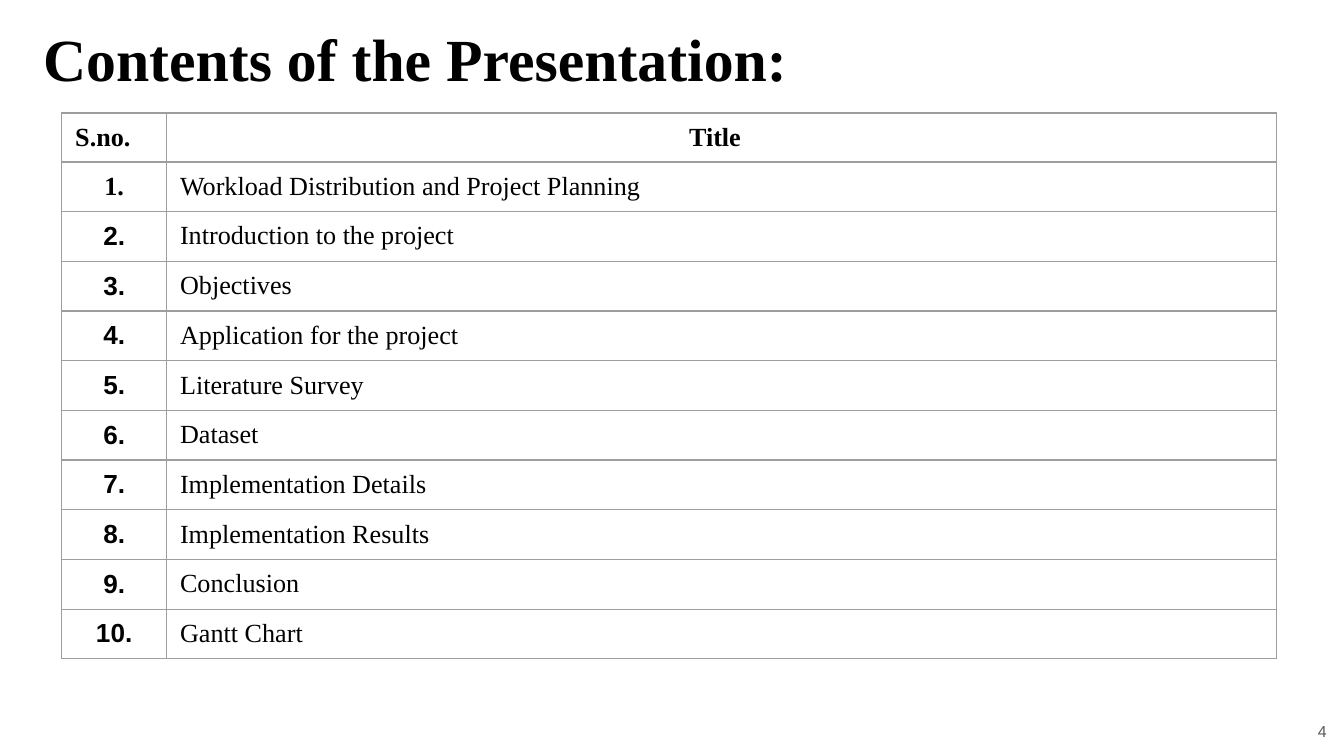
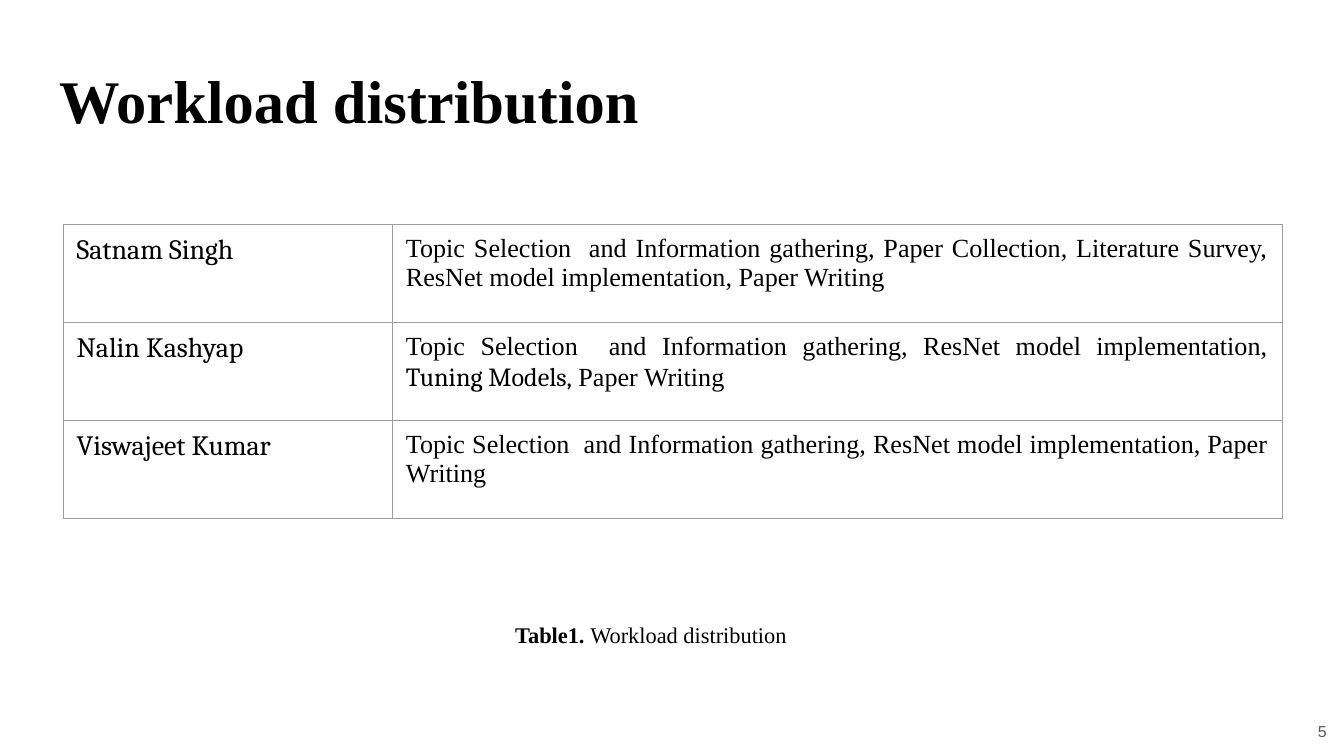
from dataclasses import dataclass

from lxml import etree
from pptx import Presentation
from pptx.dml.color import RGBColor
from pptx.enum.text import MSO_ANCHOR, MSO_AUTO_SIZE, PP_ALIGN
from pptx.oxml.ns import qn
from pptx.util import Inches, Pt

LEFT, CENTER, RIGHT, JUSTIFY = (
    PP_ALIGN.LEFT, PP_ALIGN.CENTER, PP_ALIGN.RIGHT, PP_ALIGN.JUSTIFY)
TOP, MIDDLE = MSO_ANCHOR.TOP, MSO_ANCHOR.MIDDLE
TITLE_ONLY = 5


# Theme
@dataclass(frozen=True)
class Style:
    font: str
    size: float
    bold: bool = False
    color: str = "000000"


@dataclass(frozen=True)
class Theme:
    paper: str = "FFFFFF"
    border: str = "9E9E9E"
    border_width: float = 0.75
    title: Style = Style("Times New Roman", 32, True)
    wide_title: Style = Style("Times New Roman", 32.4, True)
    head: Style = Style("Times New Roman", 14, True)
    body: Style = Style("Times New Roman", 14)
    index: Style = Style("Arial", 14, True)
    member: Style = Style("Cambria", 15)
    remark: Style = Style("Cambria", 14)
    gap: Style = Style("Cambria", 15, True)
    label: Style = Style("Times New Roman", 12, True)
    caption: Style = Style("Times New Roman", 12)
    number: Style = Style("Arial", 8.5, color="595959")


THEME = Theme()

# Content
CONTENTS_TITLE = "Contents of the Presentation:"
CONTENTS_HEAD = ("S.no.", "Title")
TOPICS = [
    "Workload Distribution and Project Planning",
    "Introduction to the project",
    "Objectives",
    "Application for the project",
    "Literature Survey",
    "Dataset",
    "Implementation Details",
    "Implementation Results",
    "Conclusion",
    "Gantt Chart",
]

WORKLOAD_TITLE = "Workload distribution"
WORKLOAD = [
    ("Satnam Singh", [
        ("Topic Selection  and Information gathering, Paper Collection, "
         "Literature Survey, ResNet model implementation, Paper Writing", THEME.body),
    ]),
    ("Nalin Kashyap", [
        ("Topic Selection  and Information gathering, "
         "ResNet model implementation, ", THEME.body),
        ("Tuning Models,", THEME.remark),
        (" ", THEME.gap),
        ("Paper Writing", THEME.body),
    ]),
    ("Viswajeet Kumar", [
        ("Topic Selection  and Information gathering, "
         "ResNet model implementation, Paper Writing", THEME.body),
    ]),
]
CAPTION = [("Table1. ", THEME.label), ("Workload distribution", THEME.caption)]


# Text helpers
def write(frame, spans, align=LEFT):
    para = frame.paragraphs[0]
    para.alignment = align
    for text, style in spans:
        span = para.add_run()
        span.text = text
        span.font.name = style.font
        span.font.size = Pt(style.size)
        span.font.bold = style.bold
        span.font.color.rgb = RGBColor.from_string(style.color)
    return para


def set_up_frame(frame, inset, anchor):
    frame.word_wrap = True
    frame.auto_size = MSO_AUTO_SIZE.NONE
    frame.vertical_anchor = anchor
    frame.margin_left = frame.margin_right = Inches(inset)
    frame.margin_top = frame.margin_bottom = Inches(inset)


def add_text(page, area, spans, align, anchor=TOP):
    box = page.shapes.add_textbox(*map(Inches, area))
    set_up_frame(box.text_frame, 0.1, anchor)
    return write(box.text_frame, spans, align)


# Table helpers
def add_borders(cell):
    properties = cell._tc.get_or_add_tcPr()
    for side in ("lnL", "lnR", "lnT", "lnB"):
        line = etree.SubElement(properties, qn(f"a:{side}"),
                                w=str(Pt(THEME.border_width)))
        fill = etree.SubElement(line, qn("a:solidFill"))
        etree.SubElement(fill, qn("a:srgbClr"), val=THEME.border)


def add_grid(page, left, top, widths, heights, rows):
    """Each row is a list of cells, each cell a pair of spans and alignment."""
    area = map(Inches, (left, top, sum(widths), sum(heights)))
    table = page.shapes.add_table(len(rows), len(widths), *area).table
    table.first_row = table.horz_banding = False
    for column, width in zip(table.columns, widths):
        column.width = Inches(width)
    for line, height, cells in zip(table.rows, heights, rows):
        line.height = Inches(height)
        for cell, (spans, align) in zip(line.cells, cells):
            cell.margin_left = cell.margin_right = Inches(0.1)
            cell.margin_top = cell.margin_bottom = Inches(0.15) // 2
            add_borders(cell)
            cell.fill.background()
            write(cell.text_frame, spans, align)
    return table


# Shared page: background, title and page number
def add_page(deck, number, title, style, area, inset, anchor):
    page = deck.slides.add_slide(deck.slide_layouts[TITLE_ONLY])
    page.background.fill.solid()
    page.background.fill.fore_color.rgb = RGBColor.from_string(THEME.paper)
    heading = page.shapes.title
    heading.left, heading.top, heading.width, heading.height = map(Inches, area)
    set_up_frame(heading.text_frame, inset, anchor)
    write(heading.text_frame, [(title, style)])
    para = add_text(page, (9.37, 5.29, 0.6, 0.32),
                    [(str(number), THEME.number)], RIGHT, MIDDLE)
    para.line_spacing = 0.8
    return page


# Slides
def add_contents(deck):
    page = add_page(deck, 4, CONTENTS_TITLE, THEME.title,
                    (0.32, 0.19, 9.32, 0.47), 0, MIDDLE)
    number_head, title_head = CONTENTS_HEAD
    rows = [[([(number_head, THEME.head)], LEFT), ([(title_head, THEME.head)], CENTER)]]
    for place, topic in enumerate(TOPICS, 1):
        style = THEME.head if place == 1 else THEME.index
        rows.append([([(f"{place}.", style)], CENTER), ([(topic, THEME.body)], LEFT)])
    heights = [0.32] + [0.37] * len(TOPICS)
    table = add_grid(page, 0.46, 0.84, (0.78, 8.26), heights, rows)
    table.cell(0, 1).margin_left = 0


def add_workload(deck):
    page = add_page(deck, 5, WORKLOAD_TITLE, THEME.wide_title,
                    (0.34, 0.37, 9.32, 0.47), 0.1, TOP)
    rows = [[([(member, THEME.member)], LEFT), (tasks, JUSTIFY)]
            for member, tasks in WORKLOAD]
    add_grid(page, 0.47, 1.67, (2.45, 6.62), [0.73] * len(rows), rows)
    add_text(page, (2.91, 4.52, 3.87, 0.4), CAPTION, CENTER)


def main():
    deck = Presentation()
    # Widescreen, 16 to 9
    deck.slide_width = Inches(10)
    deck.slide_height = deck.slide_width * 9 // 16
    add_contents(deck)
    add_workload(deck)
    deck.save("out.pptx")


if __name__ == "__main__":
    main()
